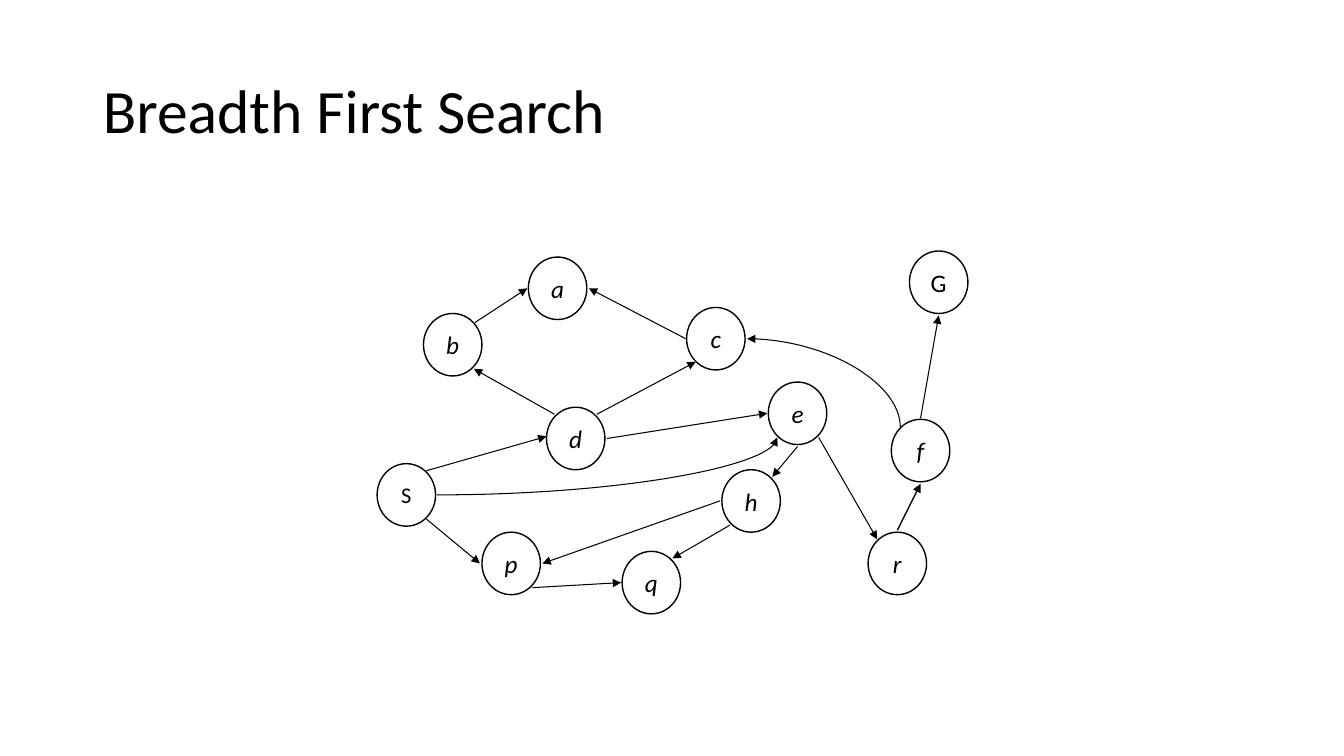
from lxml import etree
from pptx import Presentation
from pptx import util as u
from pptx.dml.color import RGBColor
from pptx.enum import shapes, text
from pptx.oxml.ns import qn

BLACK = RGBColor(0x00, 0x00, 0x00)
WHITE = RGBColor(0xFF, 0xFF, 0xFF)
FONT = "Calibri"
EMU_PER_PX = 9144
NODE_WIDTH, NODE_HEIGHT = 58, 62

NODES = {
    "S": (374, 460), "G": (902, 249), "d": (542, 404), "b": (420, 311),
    "p": (478, 528), "q": (617, 547), "c": (681, 305), "e": (762, 379),
    "h": (716, 466), "a": (524, 255), "f": (884, 416), "r": (861, 528),
}

EDGES = [
    ((423, 515), (476, 559), 0.75),
    ((528, 583), (616, 578), 0.75),
    ((724, 521), (667, 554), 0.75),
    ((714, 497), (538, 559), 0.75),
    ((791, 443), (766, 473), 0.75),
    ((812, 434), (870, 535), 0.75),
    ((890, 526), (913, 480), 1),
    ((913, 415), (931, 313), 0.75),
    ((423, 467), (542, 433), 0.75),
    ((550, 411), (470, 366), 0.75),
    ((471, 320), (523, 286), 0.75),
    ((680, 336), (584, 286), 0.75),
    ((592, 411), (690, 359), 0.75),
    ((602, 435), (761, 410), 0.75),
]


def px(length):
    return u.Emu(round(length * EMU_PER_PX))


class GraphSlide:
    def __init__(self, presentation):
        self.slide = presentation.slides.add_slide(presentation.slide_layouts[5])
        self.slide.background.fill.solid()
        self.slide.background.fill.fore_color.rgb = WHITE

    def add_text(self, paragraph, wording, size, italic=False):
        run = paragraph.add_run()
        run.text = wording
        run.font.name = FONT
        run.font.size = u.Pt(size)
        run.font.italic = italic
        run.font.color.rgb = BLACK

    def title(self, wording, left, top, width, height):
        shape = self.slide.shapes.title
        shape.left, shape.top = px(left), px(top)
        shape.width, shape.height = px(width), px(height)
        shape.text_frame.vertical_anchor = text.MSO_ANCHOR.MIDDLE
        paragraph = shape.text_frame.paragraphs[0]
        paragraph.alignment = text.PP_ALIGN.LEFT
        paragraph.line_spacing = 0.9
        self.add_text(paragraph, wording, 44)

    def node(self, name, left, top):
        shape = self.slide.shapes.add_shape(
            shapes.MSO_SHAPE.FLOWCHART_CONNECTOR,
            px(left), px(top), px(NODE_WIDTH), px(NODE_HEIGHT))
        shape.shadow.inherit = False
        shape.fill.background()
        shape.line.color.rgb = BLACK
        shape.line.width = u.Pt(1)
        frame = shape.text_frame
        frame.word_wrap = False
        frame.vertical_anchor = text.MSO_ANCHOR.MIDDLE
        paragraph = frame.paragraphs[0]
        paragraph.alignment = text.PP_ALIGN.CENTER
        self.add_text(paragraph, name, 16 if name == "S" else 18, name.islower())

    def arrow(self, start, end, weight=0.75, kind=shapes.MSO_CONNECTOR.STRAIGHT):
        connector = self.slide.shapes.add_connector(
            kind, px(start[0]), px(start[1]), px(end[0]), px(end[1]))
        connector.line.color.rgb = BLACK
        connector.line.width = u.Pt(weight)
        properties = connector._element.spPr
        line = properties.find(qn("a:ln"))
        etree.SubElement(line, qn("a:tailEnd"), type="triangle")
        etree.SubElement(properties, qn("a:effectLst"))
        return properties

    def curve(self, start, end, leaves_vertically=False):
        if leaves_vertically:
            center_x, center_y = (start[0] + end[0]) / 2, (start[1] + end[1]) / 2
            reach_x, reach_y = start[0] - center_x, start[1] - center_y
            start = (center_x + reach_y, center_y - reach_x)
            end = (center_x - reach_y, center_y + reach_x)
        properties = self.arrow(start, end, kind=shapes.MSO_CONNECTOR.CURVE)
        properties.find(qn("a:prstGeom")).set("prst", "curvedConnector2")
        if leaves_vertically:
            properties.find(qn("a:xfrm")).set("rot", str(90 * 60000))


def main():
    presentation = Presentation()
    presentation.slide_width, presentation.slide_height = u.Inches(13.33), u.Inches(7.5)
    graph = GraphSlide(presentation)
    graph.title("Breadth First Search", 92, 40, 1150, 145)
    for name, (left, top) in NODES.items():
        graph.node(name, left, top)
    for start, end, weight in EDGES:
        graph.arrow(start, end, weight)
    graph.curve((893, 424), (741, 336), leaves_vertically=True)
    graph.curve((433, 491), (771, 434))
    presentation.save("out.pptx")


if __name__ == "__main__":
    main()
